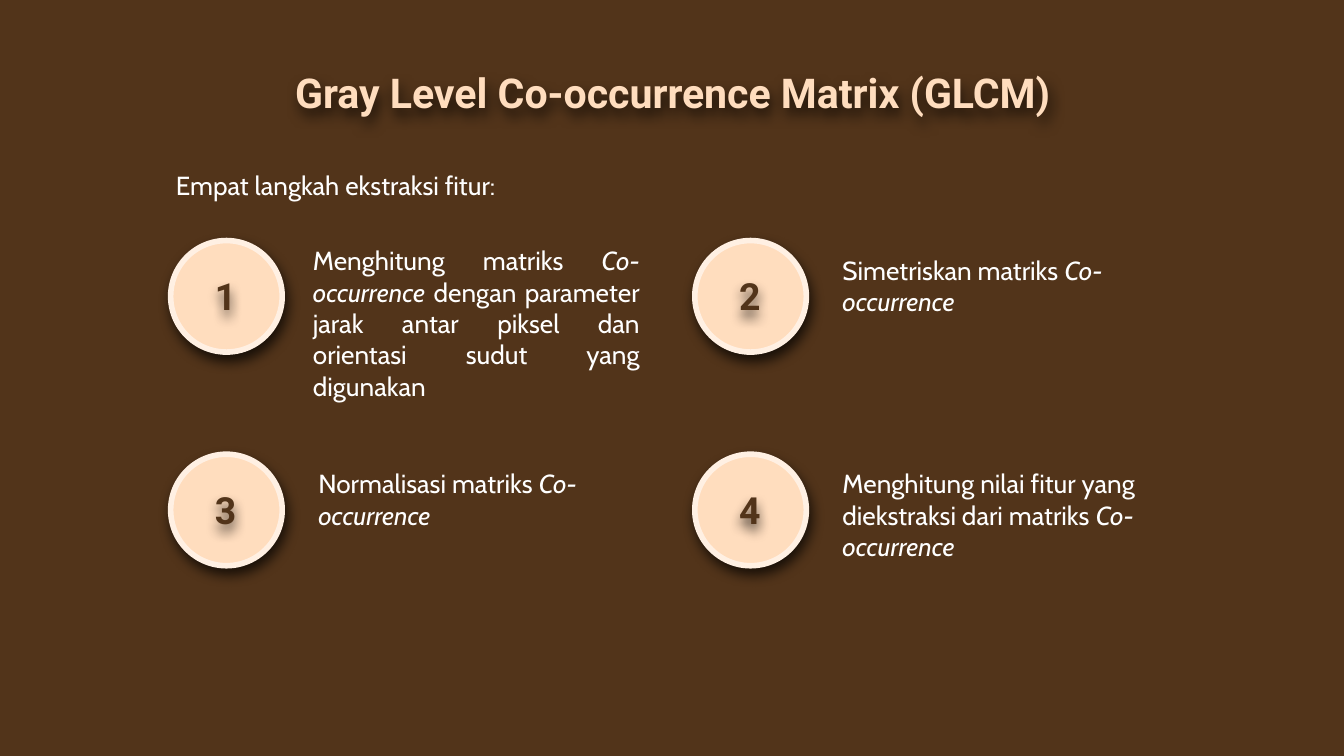
from dataclasses import dataclass

from lxml.etree import SubElement
from pptx import Presentation
from pptx.dml.color import RGBColor
from pptx.enum.shapes import MSO_SHAPE
from pptx.enum.text import MSO_ANCHOR, MSO_AUTO_SIZE, PP_ALIGN
from pptx.oxml.ns import qn
from pptx.shapes.autoshape import Shape
from pptx.slide import Slide
from pptx.util import Inches, Pt

COLORS = {
    "background": "52341A",
    "peach": "FFDDBE",
    "rim": "FFF0E3",
    "text": "FFFFFF",
    "shadow": "000000",
}
WIDTH = 10
HEIGHT = WIDTH * 9 / 16
GRID_LEFT, GRID_TOP = 1.27, 1.79
COLUMN_STEP, ROW_STEP = 3.9, 1.59
BADGE_SIZE = 0.83
CAPTION_OFFSET = 1.0
TERM = "Co-occurrence"


@dataclass(frozen=True)
class Box:
    left: float
    top: float
    width: float
    height: float

    def lengths(self) -> tuple:
        return tuple(Inches(v) for v in (self.left, self.top, self.width, self.height))


@dataclass(frozen=True)
class TextStyle:
    font: str
    size: float
    color: str
    bold: bool = False
    align: PP_ALIGN = PP_ALIGN.LEFT
    anchor: MSO_ANCHOR = MSO_ANCHOR.TOP


@dataclass(frozen=True)
class Step:
    column: int
    row: int
    before: str
    after: str = ""
    align: PP_ALIGN = PP_ALIGN.LEFT
    shift_x: float = 0
    shift_y: float = 0
    width: float = 2.56
    height: float = 0.6


TITLE = TextStyle("Roboto", 22, "peach", True, PP_ALIGN.CENTER)
NUMBER = TextStyle("Roboto", 20, "background", True, PP_ALIGN.CENTER, MSO_ANCHOR.MIDDLE)
INTRO = TextStyle("Cabin", 14, "text", align=PP_ALIGN.JUSTIFY)

STEPS = [
    Step(0, 0, "Menghitung matriks ",
         " dengan parameter jarak antar piksel dan orientasi sudut yang digunakan",
         PP_ALIGN.JUSTIFY, -0.04, -0.07, 2.63, 1.28),
    Step(1, 0, "Simetriskan matriks "),
    Step(0, 1, "Normalisasi matriks "),
    Step(1, 1, "Menghitung nilai fitur yang diekstraksi dari matriks ", height=0.89),
]


def color(name: str) -> RGBColor:
    return RGBColor.from_string(COLORS[name])


def add_shadow(shape: Shape, degrees: int = 70) -> None:
    shape.shadow.inherit = False
    effects = shape._element.spPr.find(qn("a:effectLst"))
    shadow = SubElement(effects, qn("a:outerShdw"), blurRad=str(Pt(6.8)),
                        dist=str(Pt(3.8)), dir=str(degrees * 60000),
                        algn="bl", rotWithShape="0")
    shade = SubElement(shadow, qn("a:srgbClr"), val=COLORS["shadow"])
    SubElement(shade, qn("a:alpha"), val="70000")


def write(shape: Shape, runs: list[tuple[str, bool]], style: TextStyle) -> None:
    frame = shape.text_frame
    frame.word_wrap = True
    frame.auto_size = MSO_AUTO_SIZE.NONE
    frame.vertical_anchor = style.anchor
    frame.margin_left = frame.margin_right = Inches(0.1)
    frame.margin_top = frame.margin_bottom = Inches(0.1)
    paragraph = frame.paragraphs[0]
    paragraph.alignment = style.align
    paragraph.font.name = style.font
    paragraph.font.size = Pt(style.size)
    paragraph.font.bold = style.bold
    paragraph.font.color.rgb = color(style.color)
    for text, italic in runs:
        run = paragraph.add_run()
        run.text = text
        if italic:
            run.font.italic = True


def add_text(slide: Slide, box: Box, runs: list[tuple[str, bool]], style: TextStyle) -> Shape:
    shape = slide.shapes.add_textbox(*box.lengths())
    write(shape, runs, style)
    return shape


def add_title(slide: Slide, text: str) -> None:
    title = slide.shapes.title
    box = Box(0.79, 0.4, 8.43, 0.6)
    title.left, title.top, title.width, title.height = box.lengths()
    write(title, [(text, False)], TITLE)
    add_shadow(title)


def add_step(slide: Slide, number: int, step: Step) -> None:
    left = GRID_LEFT + step.column * COLUMN_STEP
    top = GRID_TOP + step.row * ROW_STEP
    badge = slide.shapes.add_shape(
        MSO_SHAPE.ROUNDED_RECTANGLE, *Box(left, top, BADGE_SIZE, BADGE_SIZE).lengths())
    badge.adjustments[0] = 0.5
    badge.fill.solid()
    badge.fill.fore_color.rgb = color("peach")
    badge.line.color.rgb = color("rim")
    badge.line.width = Pt(3)
    add_shadow(badge)

    number_box = Box(left + 0.01, top + 0.16, 0.8, 0.5)
    add_shadow(add_text(slide, number_box, [(str(number), False)], NUMBER), 90)

    caption_box = Box(left + CAPTION_OFFSET + step.shift_x, top + step.shift_y,
                      step.width, step.height)
    runs = [(step.before, False), (TERM, True)]
    if step.after:
        runs.append((step.after, False))
    add_text(slide, caption_box, runs, TextStyle("Cabin", 14, "text", align=step.align))


def main() -> None:
    presentation = Presentation()
    presentation.slide_width, presentation.slide_height = Inches(WIDTH), Inches(HEIGHT)
    slide = presentation.slides.add_slide(presentation.slide_layouts[5])
    slide.background.fill.solid()
    slide.background.fill.fore_color.rgb = color("background")
    add_title(slide, "Gray Level Co-occurrence Matrix (GLCM)")
    add_text(slide, Box(1.21, 1.16, 7.28, 0.4),
             [("Empat langkah ekstraksi fitur:", False)], INTRO)
    for number, step in enumerate(STEPS, start=1):
        add_step(slide, number, step)
    presentation.save("out.pptx")


if __name__ == "__main__":
    main()
